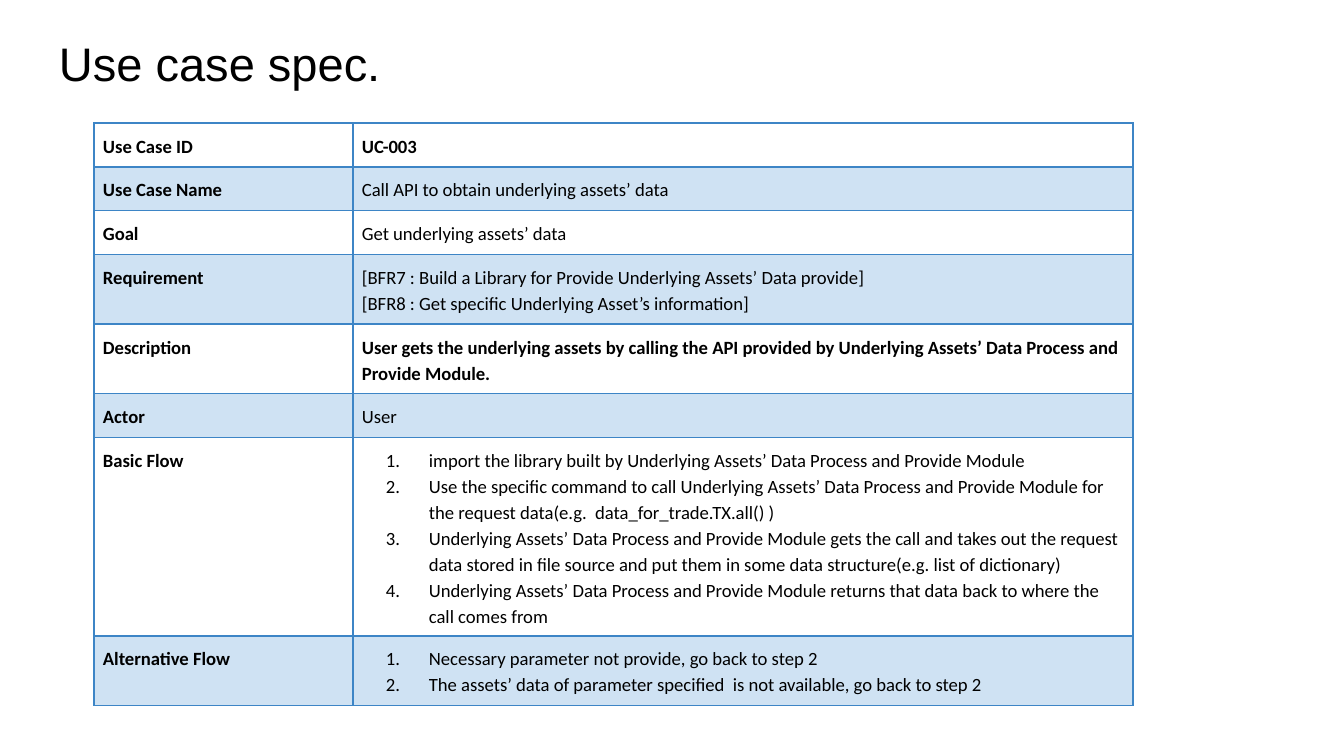
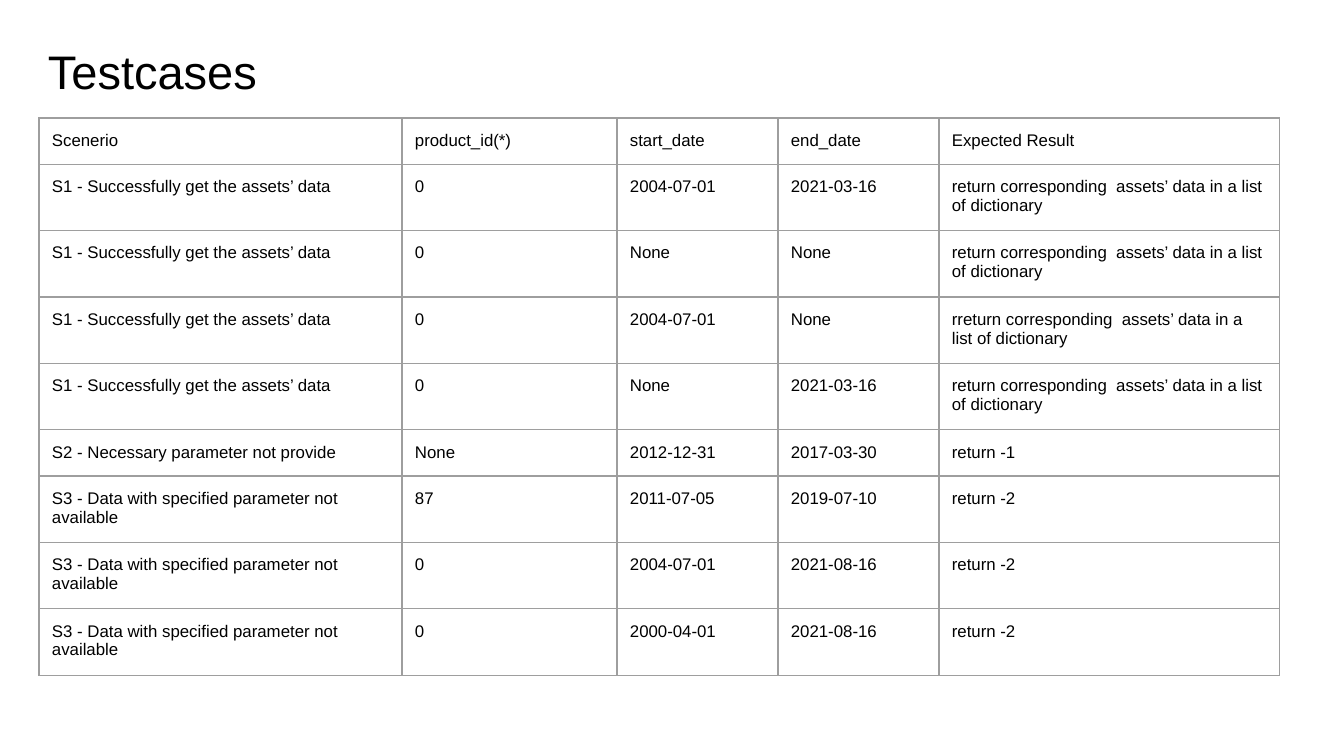
import dataclasses

import pptx
import pptx.dml.color
import pptx.enum.text
import pptx.oxml
import pptx.oxml.ns
import pptx.util


@dataclasses.dataclass(frozen=True)
class Theme:
    """Colours, fonts and type sizes of the deck."""
    text: str = "000000"
    band: str = "CFE2F3"
    spec_line: str = "3D85C6"
    test_line: str = "9E9E9E"
    sans: str = "Arial"
    body: str = "Calibri"
    title_size: float = 25.2
    spec_size: float = 10
    test_size: float = 9


@dataclasses.dataclass(frozen=True)
class TableStyle:
    """Look of one kind of table."""
    font: str
    size: float
    line: str
    line_width: float
    inset: int
    spacing: float = 1.0
    band: str = ""


THEME = Theme()
SPEC_STYLE = TableStyle(THEME.body, THEME.spec_size, THEME.spec_line, 1, 9, 1.15, THEME.band)
TEST_STYLE = TableStyle(THEME.sans, THEME.test_size, THEME.test_line, 0.75, 13)


def px(n):
    """Turn picture pixels into EMU."""
    return pptx.util.Emu(round(n * 914400 / 134.4))


class Deck:
    """Holds the theme and the current slide, and draws elements on it."""

    def __init__(self, theme):
        """Start an empty deck."""
        self.theme = theme
        self.prs = pptx.Presentation()
        self.prs.slide_width = px(1344)
        self.prs.slide_height = px(756)
        self.slide = None

    def add_slide(self):
        """Begin a blank slide."""
        self.slide = self.prs.slides.add_slide(self.prs.slide_layouts[6])

    def set_font(self, p, name, size, bold=False):
        """Style all text of a paragraph."""
        p.font.name = name
        p.font.size = pptx.util.Pt(size)
        p.font.bold = bold
        p.font.color.rgb = pptx.dml.color.RGBColor.from_string(self.theme.text)

    def title(self, text, x, y):
        """Add a slide title."""
        tf = self.slide.shapes.add_textbox(px(x), px(y), px(1253), px(85)).text_frame
        tf.word_wrap = True
        tf.vertical_anchor = pptx.enum.text.MSO_ANCHOR.BOTTOM
        tf.margin_left = tf.margin_right = tf.margin_top = tf.margin_bottom = px(13)
        p = tf.paragraphs[0]
        p.text = text
        self.set_font(p, self.theme.sans, self.theme.title_size)

    def number(self, p):
        """Turn a paragraph into a numbered list item."""
        p_pr = p._p.get_or_add_pPr()
        p_pr.set("marL", str(px(67)))
        p_pr.set("indent", str(px(-43)))
        item = pptx.oxml.parse_xml(
            f'<a:buAutoNum {pptx.oxml.ns.nsdecls("a")} type="arabicPeriod"/>')
        p_pr.insert_element_before(item, "a:tabLst", "a:defRPr", "a:extLst")

    def borders(self, cell, style):
        """Draw the four borders of a cell."""
        tc_pr = cell._tc.get_or_add_tcPr()
        for side in "LRTB":
            tc_pr.append(pptx.oxml.parse_xml(
                f'<a:ln{side} {pptx.oxml.ns.nsdecls("a")} w="{pptx.util.Pt(style.line_width)}">'
                f'<a:solidFill><a:srgbClr val="{style.line}"/></a:solidFill></a:ln{side}>'))

    def cell(self, cell, lines, style, bold=False, numbered=False, banded=False):
        """Fill and style one table cell."""
        self.borders(cell, style)
        if banded:
            cell.fill.solid()
            cell.fill.fore_color.rgb = pptx.dml.color.RGBColor.from_string(style.band)
        else:
            cell.fill.background()
        cell.margin_left = cell.margin_right = px(style.inset)
        cell.margin_top = cell.margin_bottom = px(style.inset)
        tf = cell.text_frame
        tf.text = "\n".join(lines)
        for p in tf.paragraphs:
            p.line_spacing = style.spacing
            self.set_font(p, style.font, style.size, bold)
            if numbered:
                self.number(p)

    def table(self, x, y, widths, heights, rows, style, bold=(), numbered=()):
        """Add a table; bold and numbered list (row, column) places."""
        frame = self.slide.shapes.add_table(
            len(rows), len(widths), px(x), px(y), px(sum(widths)), px(sum(heights)))
        table = frame.table
        table.first_row = table.horz_banding = False
        for column, width in zip(table.columns, widths):
            column.width = px(width)
        for r, (height, row) in enumerate(zip(heights, rows)):
            table.rows[r].height = px(height)
            for c, content in enumerate(row):
                lines = [content] if isinstance(content, str) else content
                self.cell(table.cell(r, c), lines, style, (r, c) in bold,
                          (r, c) in numbered, bool(style.band) and r % 2 == 1)


MODULE = "Underlying Assets’ Data Process and Provide Module"
SPEC = [
    ("Use Case ID", "UC-003"),
    ("Use Case Name", "Call API to obtain underlying assets’ data"),
    ("Goal", "Get underlying assets’ data"),
    ("Requirement", [
        "[BFR7 : Build a Library for Provide Underlying Assets’ Data provide]",
        "[BFR8 : Get specific Underlying Asset’s information]"]),
    ("Description", f"User gets the underlying assets by calling the API provided by {MODULE}."),
    ("Actor", "User"),
    ("Basic Flow", [
        f"import the library built by {MODULE}",
        f"Use the specific command to call {MODULE} for the request data"
        "(e.g.  data_for_trade.TX.all() )",
        f"{MODULE} gets the call and takes out the request data stored in file source "
        "and put them in some data structure(e.g. list of dictionary)",
        f"{MODULE} returns that data back to where the call comes from"]),
    ("Alternative Flow", [
        "Necessary parameter not provide, go back to step 2",
        "The assets’ data of parameter specified  is not available, go back to step 2"]),
]

SUCCESS = "S1 - Successfully get the assets’ data"
MISSING = "S2 - Necessary parameter not provide"
UNAVAILABLE = "S3 - Data with specified parameter not available"
DATA = "return corresponding  assets’ data in a list of dictionary"
TESTS = [
    ("Scenerio", "product_id(*)", "start_date", "end_date", "Expected Result"),
    (SUCCESS, "0", "2004-07-01", "2021-03-16", DATA),
    (SUCCESS, "0", "None", "None", DATA),
    (SUCCESS, "0", "2004-07-01", "None", "r" + DATA),
    (SUCCESS, "0", "None", "2021-03-16", DATA),
    (MISSING, "None", "2012-12-31", "2017-03-30", "return -1"),
    (UNAVAILABLE, "87", "2011-07-05", "2019-07-10", "return -2"),
    (UNAVAILABLE, "0", "2004-07-01", "2021-08-16", "return -2"),
    (UNAVAILABLE, "0", "2000-04-01", "2021-08-16", "return -2"),
]

deck = Deck(THEME)

deck.add_slide()
deck.title("Use case spec.", 46, 19)
labels = [(r, 0) for r in range(len(SPEC))]
deck.table(94, 123, [259, 780], [27, 27, 27, 43, 43, 27, 146, 27], SPEC, SPEC_STYLE,
           bold=labels + [(0, 1), (4, 1)], numbered=[(6, 1), (7, 1)])

deck.add_slide()
deck.title("Testcases", 35, 27)
deck.table(39, 118, [363, 215, 161, 161, 341], [34] + [60] * 4 + [34] * 4, TESTS, TEST_STYLE)

deck.prs.save("out.pptx")
